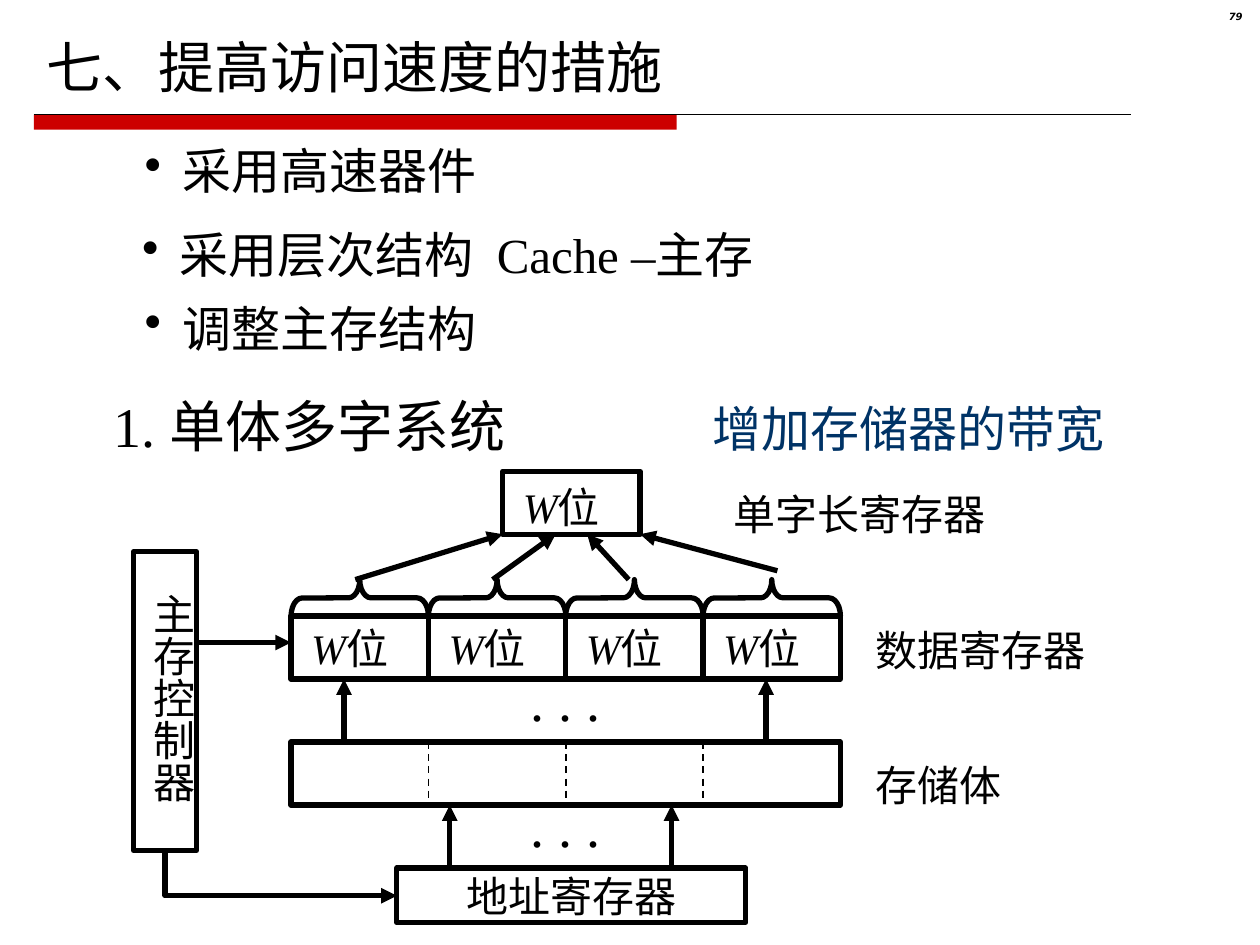
from typing import NamedTuple, Optional
from pptx import Presentation
from pptx.dml.color import RGBColor
from pptx.enum.dml import MSO_LINE
from pptx.enum.shapes import MSO_CONNECTOR as Conn, MSO_SHAPE as Kind
from pptx.enum.text import MSO_ANCHOR as Anchor, PP_ALIGN as Align
from pptx.oxml.ns import qn
from pptx.util import Inches, Pt
from lxml.etree import SubElement

COLS, ROWS = 100, 75
LEFT, PITCH, CELLS = 23.1, 10.9, 4
WIDE = PITCH * CELLS
DATA, STORE, ADDR, TALL = 48.9, 58.9, 68.9, 5
BLACK, RED, NAVY = "000000", "CC0000", "003366"
SERIF, SANS = "Times New Roman", "DejaVu Sans"

deck = Presentation()
deck.slide_width, deck.slide_height = Inches(10), Inches(7.5)
slide = deck.slides.add_slide(deck.slide_layouts[6])


class Area(NamedTuple):
    """A place on the grid, in columns and rows."""
    x: float
    y: float
    w: float
    h: float


class Run(NamedTuple):
    """A stretch of text in one style."""
    text: str
    size: float = 24
    color: str = BLACK
    font: str = SERIF
    bold: bool = False
    slant: bool = False
    track: int = 0


class Note(NamedTuple):
    """A text box with its runs."""
    area: Area
    runs: list[Run]
    bullet: bool = False
    anchor: Anchor = Anchor.TOP
    align: Align = Align.LEFT
    space: Optional[float] = None


class Link(NamedTuple):
    """A straight line between two grid points."""
    x1: float
    y1: float
    x2: float
    y2: float
    width: float = 3
    arrow: bool = True
    dash: bool = False


def col(n: float) -> int:
    """Turn columns into a length."""
    return round(deck.slide_width * n / COLS)


def row(n: float) -> int:
    """Turn rows into a length."""
    return round(deck.slide_height * n / ROWS)


def place(area: Area) -> tuple[int, int, int, int]:
    """Turn a grid area into lengths."""
    return col(area.x), row(area.y), col(area.w), row(area.h)


def tint(target, color: str) -> None:
    """Set a fill or line fill to a solid colour."""
    target.solid()
    target.fore_color.rgb = RGBColor.from_string(color)


def write(par, runs: list[Run]) -> None:
    """Add styled runs to a paragraph."""
    for item in runs:
        run = par.add_run()
        run.text = item.text
        font = run.font
        font.size, font.name = Pt(item.size), item.font
        font.bold, font.italic = item.bold, item.slant
        tint(font.fill, item.color)
        if item.track:
            font._element.set("spc", str(item.track))


def dot(par) -> None:
    """Give a paragraph a round bullet."""
    props = par._p.get_or_add_pPr()
    props.set("marL", str(col(3)))
    props.set("indent", str(-col(3)))
    SubElement(props, qn("a:buChar")).set("char", "•")


def note(item: Note):
    """Draw a text box."""
    box = slide.shapes.add_textbox(*place(item.area))
    frame = box.text_frame
    frame.word_wrap, frame.vertical_anchor = True, item.anchor
    par = frame.paragraphs[0]
    par.alignment = item.align
    if item.space:
        par.line_spacing = item.space
    if item.bullet:
        dot(par)
    write(par, item.runs)
    return box


def outline(shape) -> None:
    """Leave a shape with a bold black outline only."""
    shape.shadow.inherit = False
    shape.fill.background()
    tint(shape.line.fill, BLACK)
    shape.line.width = Pt(3)


def block(area: Area, kind: Kind = Kind.RECTANGLE):
    """Draw an outlined shape."""
    shape = slide.shapes.add_shape(kind, *place(area))
    outline(shape)
    return shape


def label(shape, runs: list[Run], align: Align, left: float = 0, top: float = 0) -> None:
    """Write text inside a shape."""
    frame = shape.text_frame
    frame.word_wrap, frame.vertical_anchor = True, Anchor.MIDDLE
    frame.margin_left, frame.margin_top = col(left), row(top)
    frame.margin_right = frame.margin_bottom = 0
    frame.paragraphs[0].alignment = align
    write(frame.paragraphs[0], runs)


def word(x: float, y: float, top: float = 0) -> None:
    """Draw a register cell of one word."""
    cell = block(Area(x, y, PITCH, TALL))
    label(cell, [Run("W", slant=True), Run("位")], Align.LEFT, 1.6, top)


def brace(x: float) -> None:
    """Draw a brace that points up above a cell."""
    deep, mid = 2.9, DATA - 1.45
    shape = block(Area(x + (PITCH - deep) / 2, mid - PITCH / 2, deep, PITCH), Kind.LEFT_BRACE)
    shape.rotation = 90
    shape.adjustments[0] = 0.31


def tip(line) -> None:
    """Put an arrowhead at the end of a line."""
    SubElement(line._get_or_add_ln(), qn("a:tailEnd")).set("type", "triangle")


def link(item: Link) -> None:
    """Draw a straight line or arrow."""
    wire = slide.shapes.add_connector(
        Conn.STRAIGHT, col(item.x1), row(item.y1), col(item.x2), row(item.y2))
    tint(wire.line.fill, BLACK)
    wire.line.width = Pt(item.width)
    if item.dash:
        wire.line.dash_style = MSO_LINE.DASH
    if item.arrow:
        tip(wire.line)
    SubElement(wire._element.spPr, qn("a:effectLst"))


def elbow(points: list[tuple[float, float]]) -> None:
    """Draw a bent arrow through grid points."""
    spots = [(col(x), row(y)) for x, y in points]
    pen = slide.shapes.build_freeform(*spots[0])
    pen.add_line_segments(spots[1:], close=False)
    shape = pen.convert_to_shape()
    outline(shape)
    tip(shape.line)


def main() -> None:
    """Build the slide."""
    bar = block(Area(2.7, 9.1, 51, 1.2))
    tint(bar.fill, RED)
    bar.line.fill.background()
    link(Link(2.7, 9.1, 89.8, 9.1, 0.75, False))
    notes = [
        Note(Area(2.7, 1.3, 94.5, 7.1), [Run("七、提高访问速度的措施", 32, font=SANS)], anchor=Anchor.BOTTOM),
        Note(Area(93.7, 0.5, 5.9, 2.3), [Run("79", 5.7, BLACK, SANS, True, True)], align=Align.RIGHT, space=0.8),
        Note(Area(10.5, 10.7, 33.4, 5.7), [Run("采用高速器件", 28)], True),
        Note(Area(10.3, 17.3, 54.1, 5.7), [Run("采用层次结构", 28), Run(" ", 28, track=700), Run("Cache –主存", 28)], True),
        Note(Area(10.5, 23.2, 31.7, 5.7), [Run("调整主存结构", 28)], True),
        Note(Area(8, 30.6, 35, 11.7), [Run("1. 单体多字系统", 32)]),
        Note(Area(55.6, 31.1, 37.6, 6.1), [Run("增加存储器的带宽", 28, NAVY)]),
        Note(Area(57.2, 38.3, 22.7, TALL), [Run("单字长寄存器")]),
        Note(Area(68.5, 49.1, 19.4, TALL), [Run("数据寄存器")]),
        Note(Area(68.5, 59.8, 12.7, TALL), [Run("存储体")]),
    ]
    notes += [Note(Area(41.1, y, 8.6, 6.4), [Run(". . .", 32)]) for y in (52.3, 62.3)]
    for item in notes:
        note(item)

    block(Area(10.6, 43.8, 5, 23.7))
    frame = note(Note(Area(10.2, 46.1, 6, 20), [Run("主存控制器")])).text_frame
    frame.margin_left = frame.margin_right = col(0.5)
    frame.margin_top = frame.margin_bottom = row(1)
    frame._txBody.bodyPr.set("vert", "eaVert")

    word(39.9, 37.4, 0.6)
    block(Area(LEFT, STORE, WIDE, TALL))
    for n in range(CELLS):
        x = LEFT + n * PITCH
        word(x, DATA)
        brace(x)
        if n:
            link(Link(x, STORE, x, STORE + TALL, 1, False, True))
    label(block(Area(31.5, ADDR, 27.7, 4.3)), [Run("地址寄存器")], Align.CENTER)

    fan = [(28.2, 46, 39.9), (39.1, 46, 44.1), (49.9, 46, 46.6), (61.7, 45.3, 50.8)]
    links = [Link(x, y, end, 42.4) for x, y, end in fan]
    rise = [(27.3, STORE), (60.8, STORE), (35.7, ADDR), (53.3, ADDR)]
    links += [Link(x, y, x, y - TALL) for x, y in rise]
    for item in links + [Link(15.6, 51, LEFT, 51)]:
        link(item)
    elbow([(13.1, 67.5), (13.1, 71.1), (31.5, 71.1)])
    deck.save("out.pptx")


if __name__ == "__main__":
    main()
